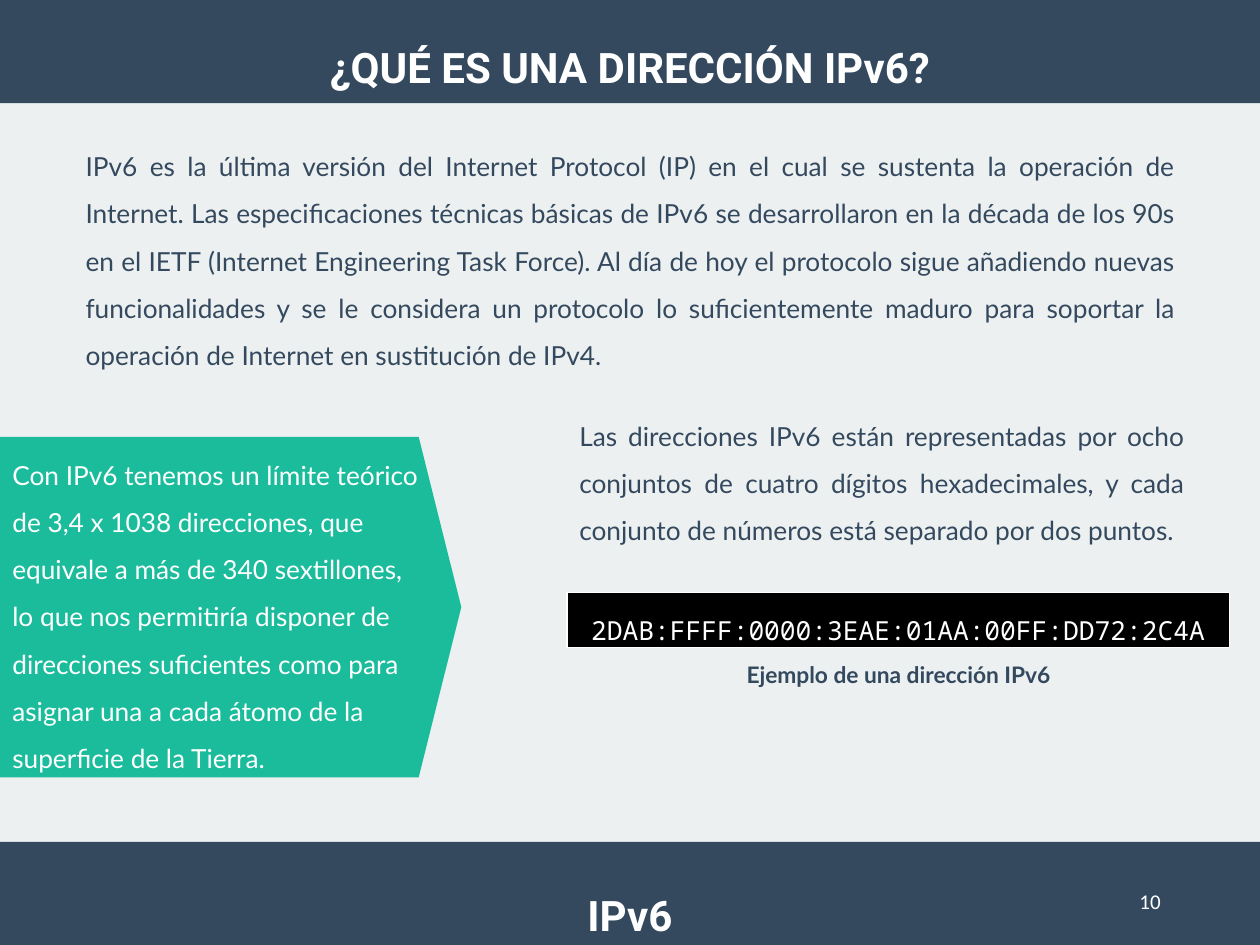
import pptx
import pptx.dml.color
import pptx.enum.shapes
import pptx.enum.text
import pptx.oxml.ns
import pptx.util
from lxml import etree

Cm = pptx.util.Cm
RGBColor = pptx.dml.color.RGBColor
ALIGN = pptx.enum.text.PP_ALIGN
ANCHOR = pptx.enum.text.MSO_ANCHOR
AUTO_SIZE = pptx.enum.text.MSO_AUTO_SIZE
SHAPE = pptx.enum.shapes.MSO_SHAPE

NAVY = RGBColor(0x34, 0x49, 0x5E)
GREEN = RGBColor(0x1A, 0xBC, 0x9C)
LIGHT = RGBColor(0xEC, 0xF0, 0xF1)
WHITE = RGBColor(0xFF, 0xFF, 0xFF)
BLACK = RGBColor(0x00, 0x00, 0x00)

SLIDE_WIDTH, SLIDE_HEIGHT = 25.4, 19.05
BAND_HEIGHT = 2.08
EXAMPLE_LEFT, EXAMPLE_WIDTH = 11.43, 13.36
HEADING = dict(size=24, font="Roboto", color=WHITE, bold=True, align=ALIGN.CENTER)

INTRODUCTION = (
    "IPv6 es la última versión del Internet Protocol (IP) en el cual se sustenta "
    "la operación de Internet. Las especificaciones técnicas básicas de IPv6 se "
    "desarrollaron en la década de los 90s en el IETF (Internet Engineering Task "
    "Force). Al día de hoy el protocolo sigue añadiendo nuevas funcionalidades y "
    "se le considera un protocolo lo suficientemente maduro para soportar la "
    "operación de Internet en sustitución de IPv4."
)
LIMIT = (
    "Con IPv6 tenemos un límite teórico de 3,4 x 1038 direcciones, que equivale a "
    "más de 340 sextillones, lo que nos permitiría disponer de direcciones "
    "suficientes como para asignar una a cada átomo de la superficie de la Tierra."
)
FORMAT = (
    "Las direcciones IPv6 están representadas por ocho conjuntos de cuatro dígitos "
    "hexadecimales, y cada conjunto de números está separado por dos puntos."
)


def write_text(shape, text, size=15, font="Lato", color=NAVY, bold=False,
               align=ALIGN.LEFT, spacing=1.5, anchor=ANCHOR.TOP,
               auto_size=AUTO_SIZE.SHAPE_TO_FIT_TEXT, plain=False):
    frame = shape.text_frame
    frame.word_wrap = True
    frame.auto_size = auto_size
    frame.vertical_anchor = anchor
    frame.text = text
    paragraph = frame.paragraphs[0]
    paragraph.alignment = align
    paragraph.line_spacing = spacing
    paragraph.space_before = pptx.util.Pt(0)
    if plain:
        remove_bullet(paragraph)
    run_font = paragraph.runs[0].font
    run_font.name = font
    run_font.size = pptx.util.Pt(size)
    run_font.bold = bold
    run_font.color.rgb = color


def remove_bullet(paragraph):
    properties = paragraph._p.get_or_add_pPr()
    properties.set("marL", "0")
    properties.set("indent", "0")
    etree.SubElement(properties, pptx.oxml.ns.qn("a:buNone"))


def place(shape, left, top, width, height):
    shape.left, shape.top = Cm(left), Cm(top)
    shape.width, shape.height = Cm(width), Cm(height)


def add_label(slide, text, left, top, width, height, **text_format):
    box = slide.shapes.add_textbox(Cm(left), Cm(top), Cm(width), Cm(height))
    write_text(box, text, **text_format)


def add_block(slide, kind, left, top, width, height, fill, line=None):
    shape = slide.shapes.add_shape(kind, Cm(left), Cm(top), Cm(width), Cm(height))
    shape.shadow.inherit = False
    shape.fill.solid()
    shape.fill.fore_color.rgb = fill
    if line is None:
        shape.line.fill.background()
    else:
        shape.line.color.rgb = line
        shape.line.width = pptx.util.Pt(0.75)
    return shape


def main():
    presentation = pptx.Presentation()
    presentation.slide_width = Cm(SLIDE_WIDTH)
    presentation.slide_height = Cm(SLIDE_HEIGHT)
    slide = presentation.slides.add_slide(presentation.slide_layouts[1])
    slide.background.fill.solid()
    slide.background.fill.fore_color.rgb = LIGHT

    # Introduction
    body = slide.placeholders[1]
    place(body, 1.47, 2.59, 22.48, 4.93)
    write_text(body, INTRODUCTION, align=ALIGN.JUSTIFY, plain=True)

    # Header and footer bands
    for top in (0, SLIDE_HEIGHT - BAND_HEIGHT):
        add_block(slide, SHAPE.RECTANGLE, 0, top, SLIDE_WIDTH, BAND_HEIGHT, NAVY)

    # Title, brought in front of its band
    title = slide.shapes.title
    place(title, 0, 0.2, SLIDE_WIDTH, 1.68)
    write_text(title, "¿QUÉ ES UNA DIRECCIÓN IPv6?", **HEADING)
    title.element.getparent().append(title.element)

    # Footer text and page number
    add_label(slide, "IPv6", 0, 17.3, SLIDE_WIDTH, 1.68, **HEADING)
    add_label(slide, "10", 17.93, 17.65, 5.72, 1.02, size=12, font="Calibri",
              color=WHITE, align=ALIGN.RIGHT, spacing=1, anchor=ANCHOR.MIDDLE,
              auto_size=AUTO_SIZE.NONE)

    # Address limit
    arrow = add_block(slide, SHAPE.PENTAGON, 0, 8.81, 9.3, 6.86, GREEN)
    arrow.adjustments[0] = 0.125
    write_text(arrow, LIMIT, color=WHITE)

    # Address format and example
    add_label(slide, FORMAT, EXAMPLE_LEFT, 8.03, 12.7, 3, align=ALIGN.JUSTIFY)
    address = add_block(slide, SHAPE.RECTANGLE, EXAMPLE_LEFT, 11.94,
                        EXAMPLE_WIDTH, 1.12, BLACK, line=WHITE)
    write_text(address, "2DAB:FFFF:0000:3EAE:01AA:00FF:DD72:2C4A",
               font="Noto Sans Mono", color=WHITE, align=ALIGN.CENTER)
    add_label(slide, "Ejemplo de una dirección IPv6", EXAMPLE_LEFT, 12.93,
              EXAMPLE_WIDTH, 0.97, size=13, bold=True, align=ALIGN.CENTER)

    presentation.save("out.pptx")


if __name__ == "__main__":
    main()
